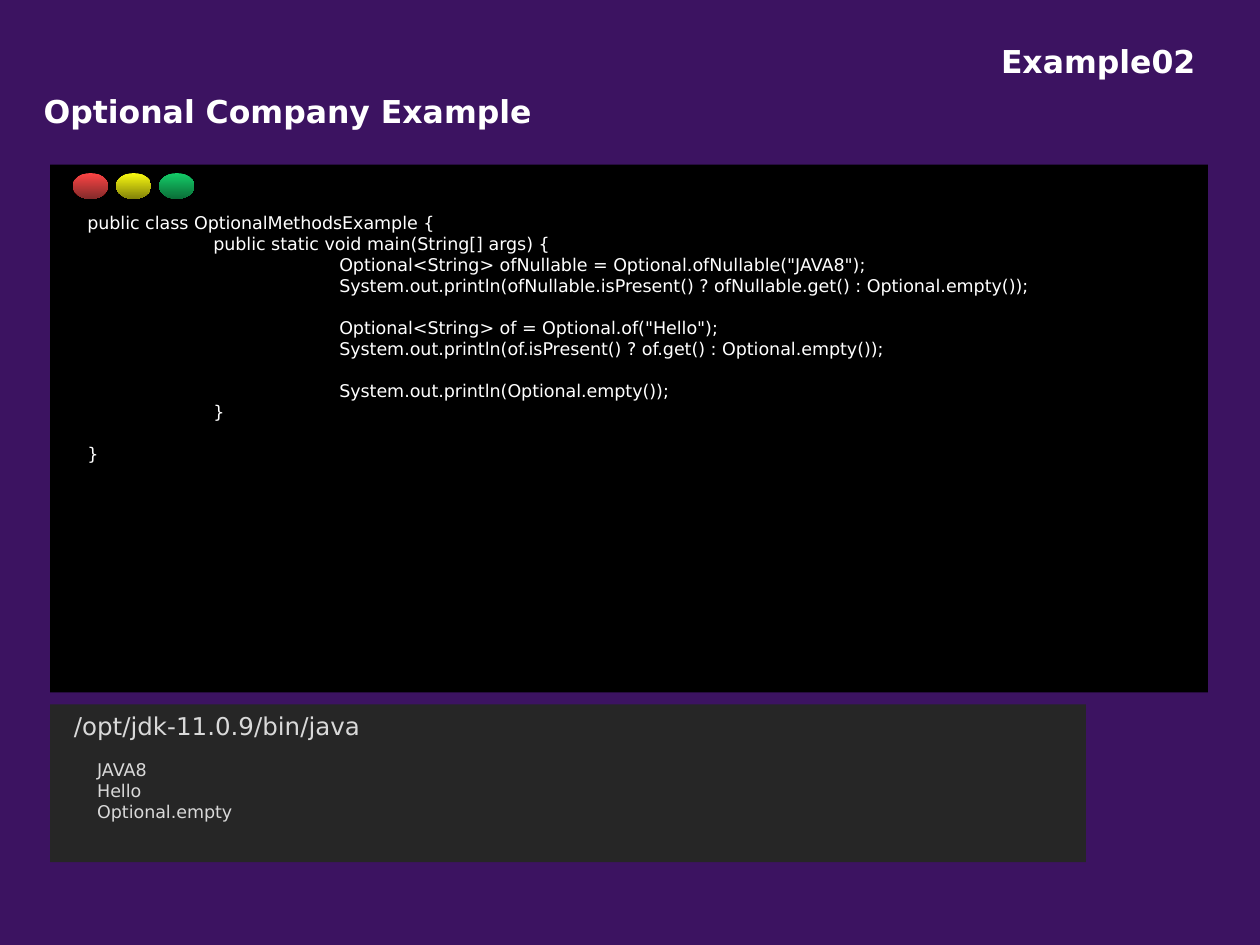
from pptx import Presentation
from pptx.dml.color import RGBColor
from pptx.enum.shapes import MSO_SHAPE as Preset
from pptx.enum.text import MSO_AUTO_SIZE as AutoSize, PP_ALIGN as Align
from pptx.util import Cm, Pt

FONT = "DejaVu Sans"
WHITE, GREY = "FFFFFF", "D9D9D9"
LINE_HEIGHT = 12
TAB_WIDTH = 2.54

PANELS = [
    ((1.01, 3.32, 23.34, 10.64), "000000"),
    ((1.01, 14.2, 20.88, 3.18), "262626"),
]
BUTTONS = [("FE4444", "832B2B"), ("FBFB11", "838309"), ("14CD68", "0B6E38")]
BUTTON_LEFT, BUTTON_TOP, BUTTON_STEP = 1.47, 3.49, 0.87
BUTTON_WIDTH, BUTTON_HEIGHT = 0.71, 0.52

CODE = """public class OptionalMethodsExample {
\tpublic static void main(String[] args) {
\t\tOptional<String> ofNullable = Optional.ofNullable("JAVA8");
\t\tSystem.out.println(ofNullable.isPresent() ? ofNullable.get() : Optional.empty());

\t\tOptional<String> of = Optional.of("Hello");
\t\tSystem.out.println(of.isPresent() ? of.get() : Optional.empty());

\t\tSystem.out.println(Optional.empty());
\t}

}"""

TITLES = [
    ((0.63, 1.73, 10.4, 1.02), "Optional Company Example", Align.LEFT),
    ((19.92, 0.72, 4.44, 1.02), "Example02", Align.CENTER),
]
TEXTS = [
    ((1.51, 4.14, 20.98, 5.38), CODE, 10, WHITE),
    ((1.24, 14.2, 6.32, 0.86), "/opt/jdk-11.0.9/bin/java", 14, GREY),
    ((1.71, 15.17, 19.76, 1.52), "JAVA8\nHello\nOptional.empty", 10, GREY),
]


def color(value):
    """Return the colour for a hex string."""
    return RGBColor.from_string(value)


def add_plain(page, preset, area):
    """Add a preset shape without line or shadow."""
    shape = page.shapes.add_shape(preset, *map(Cm, area))
    shape.shadow.inherit = False
    shape.line.fill.background()
    return shape


def add_text(page, area, text, size, ink, bold=False, wrap=True, align=Align.LEFT):
    """Add a text box, turning blank lines into space before the next one."""
    frame = page.shapes.add_textbox(*map(Cm, area)).text_frame
    frame.word_wrap = wrap
    frame.auto_size = AutoSize.SHAPE_TO_FIT_TEXT
    para, gap = frame.paragraphs[0], 0
    for line in text.split("\n"):
        if not line:
            gap += LINE_HEIGHT
            continue
        if para.runs:
            para = frame.add_paragraph()
        para.add_run().text = line
        para.alignment = align
        para.space_before = Pt(gap)
        para._p.get_or_add_pPr().set("defTabSz", str(Cm(TAB_WIDTH)))
        font = para.font
        font.name, font.size, font.bold = FONT, Pt(size), bold
        font.color.rgb = color(ink)
        gap = 0


def build():
    """Build the slide and save the deck."""
    deck = Presentation()
    deck.slide_width, deck.slide_height = Cm(25.4), Cm(19.05)
    page = deck.slides.add_slide(deck.slide_layouts[6])
    page.background.fill.solid()
    page.background.fill.fore_color.rgb = color("3C1361")

    for area, fill in PANELS:
        panel = add_plain(page, Preset.RECTANGLE, area)
        panel.fill.solid()
        panel.fill.fore_color.rgb = color(fill)

    for index, shades in enumerate(BUTTONS):
        left = BUTTON_LEFT + index * BUTTON_STEP
        area = (left, BUTTON_TOP, BUTTON_WIDTH, BUTTON_HEIGHT)
        button = add_plain(page, Preset.OVAL, area)
        button.fill.gradient()
        button.fill.gradient_angle = 270
        for stop, shade, position in zip(button.fill.gradient_stops, shades, (0, 1)):
            stop.color.rgb = color(shade)
            stop.position = position

    for area, text, align in TITLES:
        add_text(page, area, text, 18, WHITE, bold=True, wrap=False, align=align)
    for area, text, size, ink in TEXTS:
        add_text(page, area, text, size, ink)

    deck.save("out.pptx")


build()
